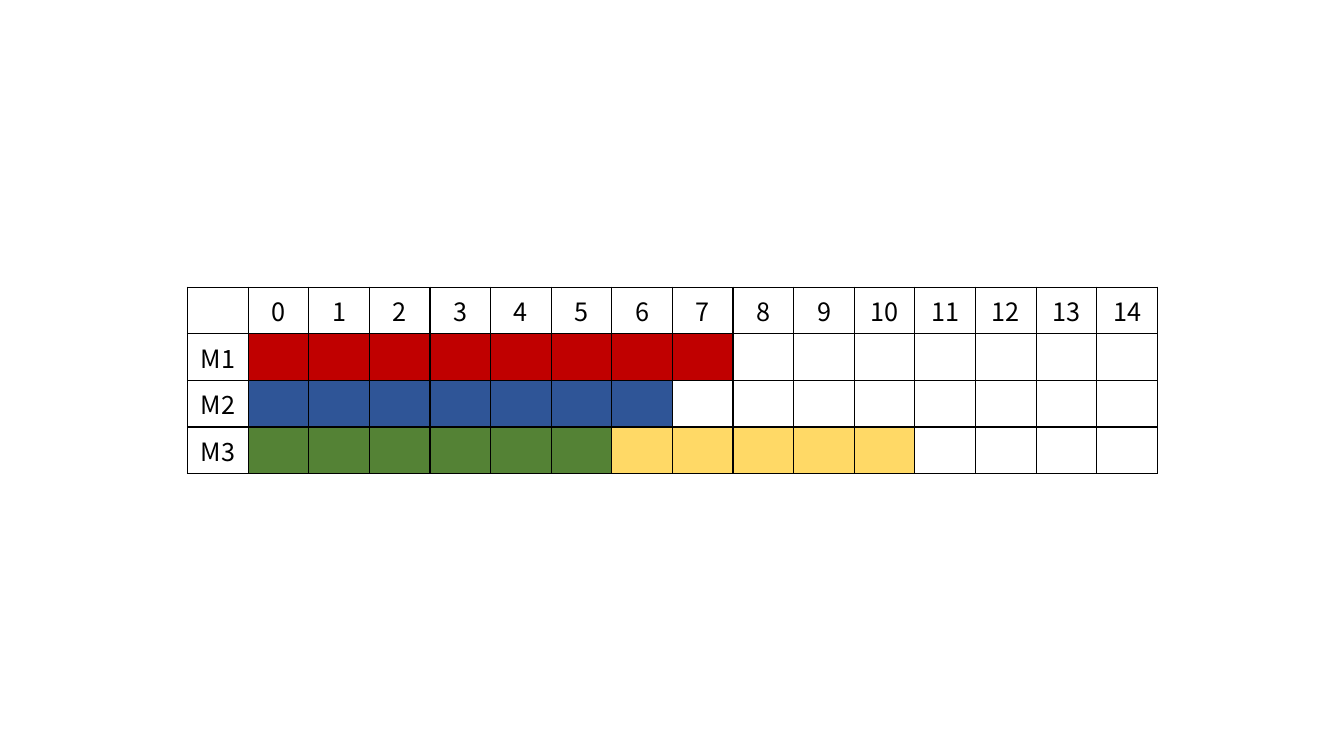
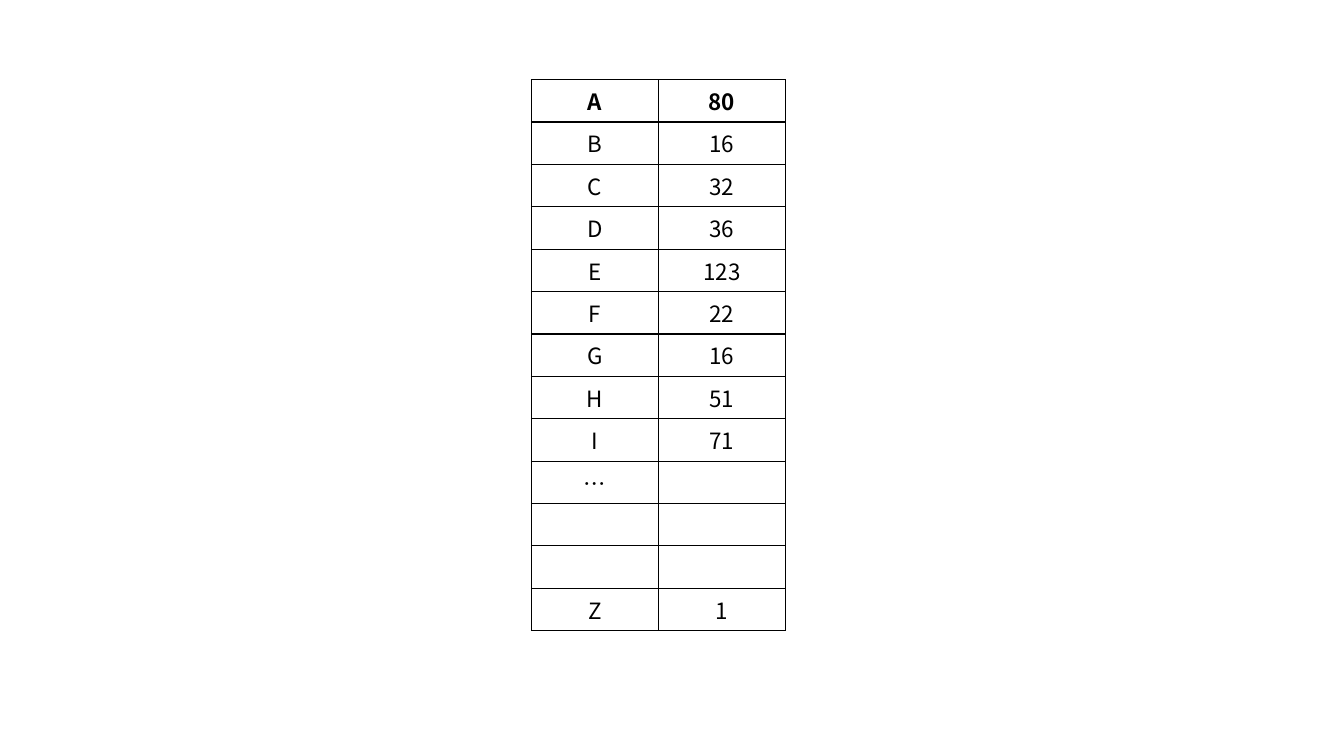
from lxml import etree
from pptx import Presentation
from pptx import util as u
from pptx.dml.color import RGBColor
from pptx.enum import text
from pptx.oxml.ns import qn

FONT = "Noto Sans CJK KR"
BLACK = RGBColor(0x00, 0x00, 0x00)
WHITE = RGBColor(0xFF, 0xFF, 0xFF)
RED = RGBColor(0xC0, 0x00, 0x00)
BLUE = RGBColor(0x2F, 0x55, 0x97)
GREEN = RGBColor(0x54, 0x82, 0x35)
YELLOW = RGBColor(0xFF, 0xD9, 0x66)

TIME_SLOTS = 15
MACHINES = [
    ("M1", [(RED, 8)]),
    ("M2", [(BLUE, 7)]),
    ("M3", [(GREEN, 6), (YELLOW, 5)]),
]
LETTER_COUNTS = [
    ("A", "80"), ("B", "16"), ("C", "32"), ("D", "36"), ("E", "123"),
    ("F", "22"), ("G", "16"), ("H", "51"), ("I", "71"), ("…", ""),
    ("", ""), ("", ""), ("Z", "1"),
]


def add_borders(cell):
    properties = cell._tc.get_or_add_tcPr()
    for side in ("a:lnL", "a:lnR", "a:lnT", "a:lnB"):
        line = etree.SubElement(properties, qn(side), w=str(u.Pt(1)))
        paint = etree.SubElement(line, qn("a:solidFill"))
        etree.SubElement(paint, qn("a:srgbClr"), val=str(BLACK))


def format_cell(cell, words, size, bold, fill):
    add_borders(cell)
    cell.fill.solid()
    cell.fill.fore_color.rgb = fill
    cell.text = words
    paragraph = cell.text_frame.paragraphs[0]
    paragraph.alignment = text.PP_ALIGN.CENTER
    font = paragraph.font
    font.size, font.bold, font.name = u.Pt(size), bold, FONT
    font.color.rgb = BLACK
    defaults = paragraph._p.pPr.find(qn("a:defRPr"))
    etree.SubElement(defaults, qn("a:ea"), typeface=FONT)


def add_grid(prs, rows, left, top, width, row_height, size, bold_header=False, fills=None):
    fills = fills or {}
    slide = prs.slides.add_slide(prs.slide_layouts[6])
    table = slide.shapes.add_table(
        len(rows), len(rows[0]), u.Inches(left), u.Inches(top),
        u.Inches(width), u.Inches(row_height * len(rows))).table
    table.first_row = table.horz_banding = False
    for r, row in enumerate(rows):
        for c, words in enumerate(row):
            format_cell(table.cell(r, c), words, size,
                        bold_header and r == 0, fills.get((r, c), WHITE))


def add_schedule(prs):
    rows = [["", *map(str, range(TIME_SLOTS))]]
    fills = {}
    for r, (machine, jobs) in enumerate(MACHINES, 1):
        rows.append([machine] + [""] * TIME_SLOTS)
        start = 1
        for colour, length in jobs:
            fills.update({(r, c): colour for c in range(start, start + length)})
            start += length
    add_grid(prs, rows, 1.86, 2.85, 9.62, 0.46, 18, fills=fills)


def main():
    prs = Presentation()
    prs.slide_width, prs.slide_height = u.Inches(13.33), u.Inches(7.5)
    add_schedule(prs)
    add_grid(prs, LETTER_COUNTS, 5.27, 0.79, 2.52, 0.42, 16, bold_header=True)
    prs.save("out.pptx")


if __name__ == "__main__":
    main()
